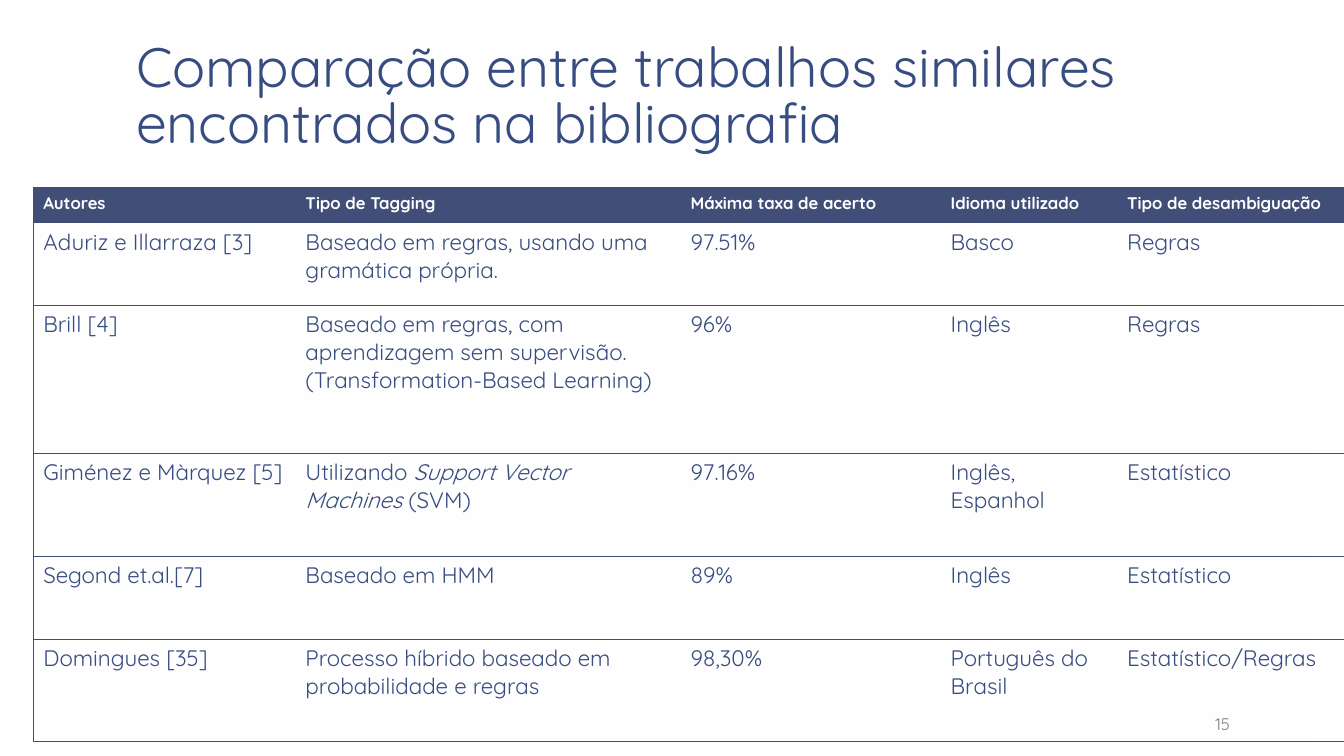
from dataclasses import dataclass

from lxml import etree
from pptx import Presentation
from pptx.dml.color import RGBColor
from pptx.enum.shapes import MSO_SHAPE
from pptx.enum.text import MSO_ANCHOR, PP_ALIGN
from pptx.oxml.ns import qn
from pptx.util import Inches, Pt

RECT = MSO_SHAPE.RECTANGLE
BOTTOM = MSO_ANCHOR.BOTTOM
LEFT, RIGHT = PP_ALIGN.LEFT, PP_ALIGN.RIGHT


@dataclass(frozen=True)
class Theme:
    font: str = "Quicksand"
    white: str = "FFFFFF"
    ink: str = "374C81"
    navy: str = "414E77"
    gray: str = "808080"
    title: float = 39.6
    body: float = 16
    small: float = 12
    rule: float = 0.5


HEADER = ["Autores", "Tipo de Tagging", "Máxima taxa de acerto",
          "Idioma utilizado", "Tipo de desambiguação"]
# A cell is a list of paragraphs or one string; asterisks enclose italics.
WORKS = [
    ["Aduriz e Illarraza [3]", "Baseado em regras, usando uma gramática própria.",
     "97.51%", "Basco", "Regras"],
    ["Brill [4]", ["Baseado em regras, com aprendizagem sem supervisão.",
                   "(Transformation-Based Learning)"],
     "96%", "Inglês", "Regras"],
    ["Giménez e Màrquez [5]", "Utilizando *Support Vector Machines *(SVM)",
     "97.16%", "Inglês, Espanhol", "Estatístico"],
    ["Segond et.al.[7]", "Baseado em HMM", "89%", "Inglês", "Estatístico"],
    ["Domingues [35]", "Processo híbrido baseado em probabilidade e regras",
     "98,30%", "Português do Brasil", "Estatístico/Regras"],
]
COL_WIDTHS = [2.6, 3.82, 2.58, 1.75, 2.25]
ROW_HEIGHTS = [0.35, 0.82, 1.47, 1.02, 0.82, 1.02]


def write(tf, text, *, font, size, color, bold=False, align=LEFT, spacing=None):
    """Fill a text frame with paragraphs; text between asterisks is italic."""
    paragraphs = [text] if isinstance(text, str) else text
    for i, line in enumerate(paragraphs):
        p = tf.add_paragraph() if i else tf.paragraphs[0]
        p.alignment = align
        p.line_spacing = spacing
        for j, part in enumerate(line.split("*")):
            r = p.add_run()
            r.text = part
            r.font.name = font
            r.font.size = Pt(size)
            r.font.bold = bold
            r.font.italic = j % 2 == 1
            r.font.color.rgb = RGBColor.from_string(color)


def set_borders(cell, colors, width):
    """Draw the cell's sides; colors maps L, R, T, B to a colour or None."""
    tc_pr = cell._tc.get_or_add_tcPr()
    for side in "LRTB":
        ln = etree.SubElement(tc_pr, qn(f"a:ln{side}"), w=str(Pt(width)))
        if colors.get(side):
            fill = etree.SubElement(ln, qn("a:solidFill"))
            etree.SubElement(fill, qn("a:srgbClr"), val=colors[side])
        else:
            etree.SubElement(ln, qn("a:noFill"))


class SlideBuilder:
    def __init__(self, slide, theme):
        self.s = slide
        self.theme = theme

    def panel(self, x, y, w, h):
        """Add a white panel that fades towards one corner."""
        sp = self.s.shapes.add_shape(RECT, Inches(x), Inches(y), Inches(w), Inches(h))
        sp.shadow.inherit = False
        sp.line.fill.background()
        sp.fill.gradient()
        sp.fill.gradient_angle = 230
        for stop, opacity in zip(sp.fill.gradient_stops, (0, 55)):
            stop.color.rgb = RGBColor.from_string(self.theme.white)
            clr = stop._gs.find(qn("a:srgbClr"))
            etree.SubElement(clr, qn("a:alpha"), val=str(opacity * 1000))

    def text(self, x, y, w, h, text, **fmt):
        sp = self.s.shapes.add_textbox(Inches(x), Inches(y), Inches(w), Inches(h))
        tf = sp.text_frame
        tf.word_wrap = True
        tf.vertical_anchor = BOTTOM
        tf.margin_left = tf.margin_right = Inches(0.13)
        tf.margin_top = tf.margin_bottom = Inches(0.07)
        write(tf, text, font=self.theme.font, **fmt)

    def table(self, x, y, col_widths, row_heights, rows):
        t = self.theme
        frame = self.s.shapes.add_table(
            len(rows), len(col_widths), Inches(x), Inches(y),
            Inches(sum(col_widths)), Inches(sum(row_heights)))
        table = frame.table
        table.horz_banding = False
        for col, width in zip(table.columns, col_widths):
            col.width = Inches(width)
        for row, height in zip(table.rows, row_heights):
            row.height = Inches(height)
        last = len(col_widths) - 1
        for i, row in enumerate(rows):
            for j, value in enumerate(row):
                cell = table.cell(i, j)
                set_borders(cell, {"L": t.navy if j == 0 else None,
                                   "R": t.navy if j == last else None,
                                   "T": t.navy, "B": t.navy}, t.rule)
                if i == 0:
                    cell.fill.solid()
                    cell.fill.fore_color.rgb = RGBColor.from_string(t.navy)
                    fmt = dict(size=t.small, color=t.white, bold=True)
                else:
                    cell.fill.background()
                    fmt = dict(size=t.body, color=t.ink)
                write(cell.text_frame, value, font=t.font, **fmt)


def main():
    prs = Presentation()
    prs.slide_width, prs.slide_height = Inches(13.33), Inches(7.5)
    theme = Theme()
    s = SlideBuilder(prs.slides.add_slide(prs.slide_layouts[6]), theme)
    s.panel(0.33, 0, 12.66, 7.5)
    s.text(1.22, 0.08, 11.11, 1.53,
           "Comparação entre trabalhos similares encontrados na bibliografia",
           size=theme.title, color=theme.ink, spacing=0.85)
    s.table(0.33, 1.86, COL_WIDTHS, ROW_HEIGHTS, [HEADER, *WORKS])
    s.text(11.12, 7, 1.21, 0.35, "15", size=theme.small, color=theme.gray, align=RIGHT)
    prs.save("out.pptx")


if __name__ == "__main__":
    main()
